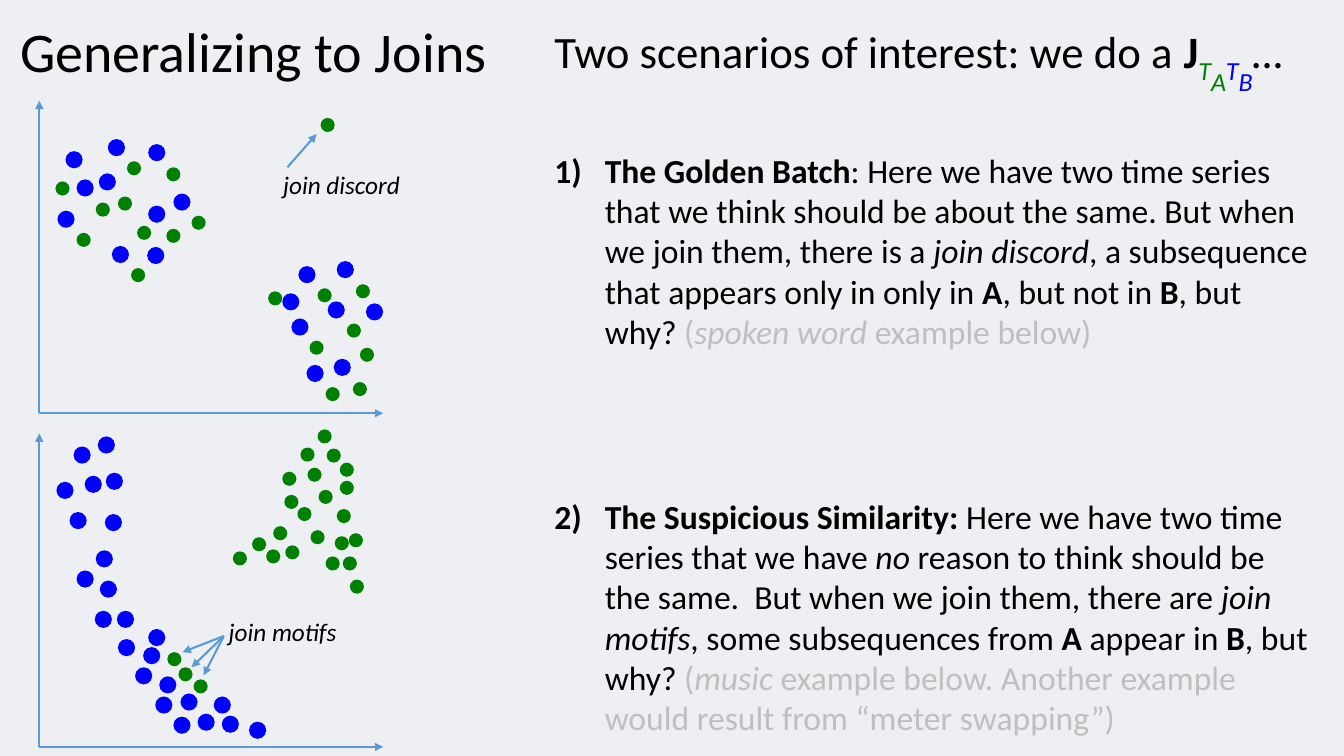
from lxml import etree
from pptx import Presentation
from pptx.dml.color import RGBColor
from pptx.enum import shapes, text
from pptx.oxml.ns import qn
from pptx.util import Inches, Pt

FONT = "Calibri"
BLACK, GREEN, BLUE, GRAY, AXIS = "000000", "008000", "0000FF", "BFBFBF", "5B9BD5"
PAPER = "EDEFF3"

# Dot corners, measured from the corner of each plot's box
BATCH_BLUE = [
    (0.65, 0.5), (1.47, 1.04), (3.34, 1.59), (1.47, 0.43), (0.98, 0.72), (3.25, 1.99),
    (1.46, 1.45), (3.31, 2.56), (0.76, 0.78), (2.96, 1.64), (0.57, 1.09), (3.04, 2.62),
    (1.07, 0.38), (1.11, 1.44), (1.72, 0.92), (2.89, 2.16), (3.63, 2.01), (2.8, 1.91)]
BATCH_GREEN = [
    (0.55, 0.8), (1.65, 1.27), (3.53, 1.82), (1.65, 0.66), (1.17, 0.95), (3.44, 2.21),
    (1.36, 1.24), (3.5, 2.79), (0.95, 1.01), (3.15, 1.86), (0.76, 1.31), (3.23, 2.84),
    (1.26, 0.6), (1.3, 1.66), (1.9, 1.14), (3.07, 2.38), (3.57, 2.45), (2.66, 1.89),
    (3.18, 0.17)]
MOTIF_BLUE = [
    (0.56, 0.48), (1.05, 0.39), (0.73, 0.13), (1.72, 2.81), (1.17, 2.04), (2.12, 2.61),
    (1.79, 2.58), (0.99, 1.46), (1.04, 0.8), (1.54, 2.61), (0.94, 1.76), (0.76, 1.36),
    (1.96, 2.78), (1.16, 1.76), (1.58, 2.41), (0.97, 0.03), (1.34, 2.32), (2.2, 2.8),
    (0.69, 0.78), (0.84, 0.42), (2.47, 2.86), (0.95, 1.16), (1.47, 1.94), (1.42, 2.12)]
MOTIF_GREEN = [
    (3.37, 0.29), (3.32, 1.02), (3.16, 0.56), (3.05, 0.34), (3.47, 1.45), (3.24, 0.15),
    (2.71, 0.92), (3.08, 0.96), (2.98, 0.14), (2.31, 1.17), (3.34, 0.75), (1.77, 2.32),
    (2.82, 0.61), (1.92, 2.44), (3.46, 0.99), (3.37, 0.47), (2.5, 1.03), (2.8, 0.38),
    (3.4, 1.22), (3.23, 1.22), (2.95, 0.73), (2.64, 1.15), (1.66, 2.17), (2.83, 1.11),
    (3.15, -0.04)]

# Runs are (text, style): b bold, i italic
HEAD = [("Two scenarios of interest: we do a ", "", BLACK, 0), ("J", "b", BLACK, 0),
        ("T", "i", GREEN, -25), ("A", "i", GREEN, -50),
        ("T", "i", BLUE, -25), ("B", "i", BLUE, -50), ("…", "i", BLACK, 0)]
GOLDEN = [("The Golden Batch", "b"),
          (": Here we have two time series that we think should be about the same. "
           "But when we join them, there is a ", ""),
          ("join discord", "i"), (", a subsequence that appears only in only in ", ""),
          ("A", "b"), (", but not in ", ""), ("B", "b"), (", but why? ", ""),
          ("(", "", GRAY), ("spoken word ", "i", GRAY), ("example below)", "", GRAY)]
SUSPECT = [("The Suspicious Similarity: ", "b"),
           ("Here we have two time series that we have ", ""), ("no", "i"),
           (" reason to think should be the same.  But when we join them, there are ", ""),
           ("join motifs", "i"), (", some subsequences from ", ""), ("A", "b"),
           (" appear in ", ""), ("B", "b"), (", but why? ", ""),
           ("(", "", GRAY), ("music", "i", GRAY),
           (" example below. Another example would result from “meter swapping”)", "", GRAY)]


def color(code):
    return RGBColor.from_string(code)


def style(run, size, marks="", code=BLACK, base=0):
    font = run.font
    font.name, font.size = FONT, Pt(size)
    font.bold, font.italic = "b" in marks, "i" in marks
    font.color.rgb = color(code)
    if base:
        run._r.get_or_add_rPr().set("baseline", str(base * 1000))


def label(slide, box, words, size, marks="", inset=True):
    shape = slide.shapes.add_textbox(*map(Inches, box))
    frame = shape.text_frame
    frame.word_wrap = False
    if not inset:
        frame.margin_left = frame.margin_right = frame.margin_top = frame.margin_bottom = 0
    frame.text = words
    style(frame.paragraphs[0].runs[0], size, marks)


def arrow(slide, start, end):
    line = slide.shapes.add_connector(
        shapes.MSO_CONNECTOR.STRAIGHT, *map(Inches, (*start, *end)))
    line.line.color.rgb = color(AXIS)
    line.line.width = Pt(1.5)
    etree.SubElement(line.line._get_or_add_ln(), qn("a:tailEnd"), type="triangle")
    etree.SubElement(line._element.spPr, qn("a:effectLst"))


def dots(slide, left, top, spots, size, code):
    for x, y in spots:
        dot = slide.shapes.add_shape(
            shapes.MSO_SHAPE.OVAL, *map(Inches, (left + x, top + y, size, size)))
        dot.shadow.inherit = False
        dot.fill.solid()
        dot.fill.fore_color.rgb = color(code)
        dot.line.fill.background()


def plot(slide, box, blue, green, note, spot, tips):
    left, top, width, height = box
    # Axes
    inset = 0.39
    base = (left + inset, top + height)
    arrow(slide, base, (left + width, top + height))
    arrow(slide, base, (left + inset, top))
    # Points
    dots(slide, left, top, blue, 0.17, BLUE)
    dots(slide, left, top, green, 0.14, GREEN)
    # Note and its arrows
    x, y, wide = spot
    label(slide, (left + x, top + y, wide, 0.4), note, 18, "i")
    for (x1, y1), (x2, y2) in tips:
        arrow(slide, (left + x1, top + y1), (left + x2, top + y2))


def story(slide, box):
    frame = slide.shapes.add_textbox(*map(Inches, box)).text_frame
    frame.word_wrap = True
    frame.auto_size = text.MSO_AUTO_SIZE.SHAPE_TO_FIT_TEXT
    # The gaps keep the last line above the slide's lower edge
    for words, size, gap in ((HEAD, 32, 0), (GOLDEN, 24, 38), (SUSPECT, 24, 103)):
        para = frame.paragraphs[0] if words is HEAD else frame.add_paragraph()
        if gap:
            props = para._p.get_or_add_pPr()
            props.set("marL", str(Inches(0.5)))
            props.set("indent", str(-Inches(0.5)))
            etree.SubElement(props, qn("a:buAutoNum"), type="arabicParenR")
            para.space_before = Pt(gap)
        for part, *look in words:
            run = para.add_run()
            run.text = part
            style(run, size, *look)


def main():
    deck = Presentation()
    deck.slide_width, deck.slide_height = Inches(13.33), Inches(7.5)
    slide = deck.slides.add_slide(deck.slide_layouts[6])
    slide.background.fill.solid()
    slide.background.fill.fore_color.rgb = color(PAPER)

    label(slide, (0.2, 0.16, 10.55, 0.5), "Generalizing to Joins", 40, inset=False)
    story(slide, (5.4, 0.19, 7.76, 7.24))
    plot(slide, (0, 1, 3.8, 3.1), BATCH_BLUE, BATCH_GREEN, "join discord",
         (2.71, 0.63, 1.43), [((2.85, 0.66), (3.14, 0.33))])
    hub = (2.22, 2.01)
    plot(slide, (0, 4.3, 3.8, 3.11), MOTIF_BLUE, MOTIF_GREEN, "join motifs",
         (2.17, 1.77, 1.34), [(hub, tip) for tip in ((1.81, 2.17), (1.9, 2.32), (2.02, 2.4))])
    deck.save("out.pptx")


if __name__ == "__main__":
    main()
